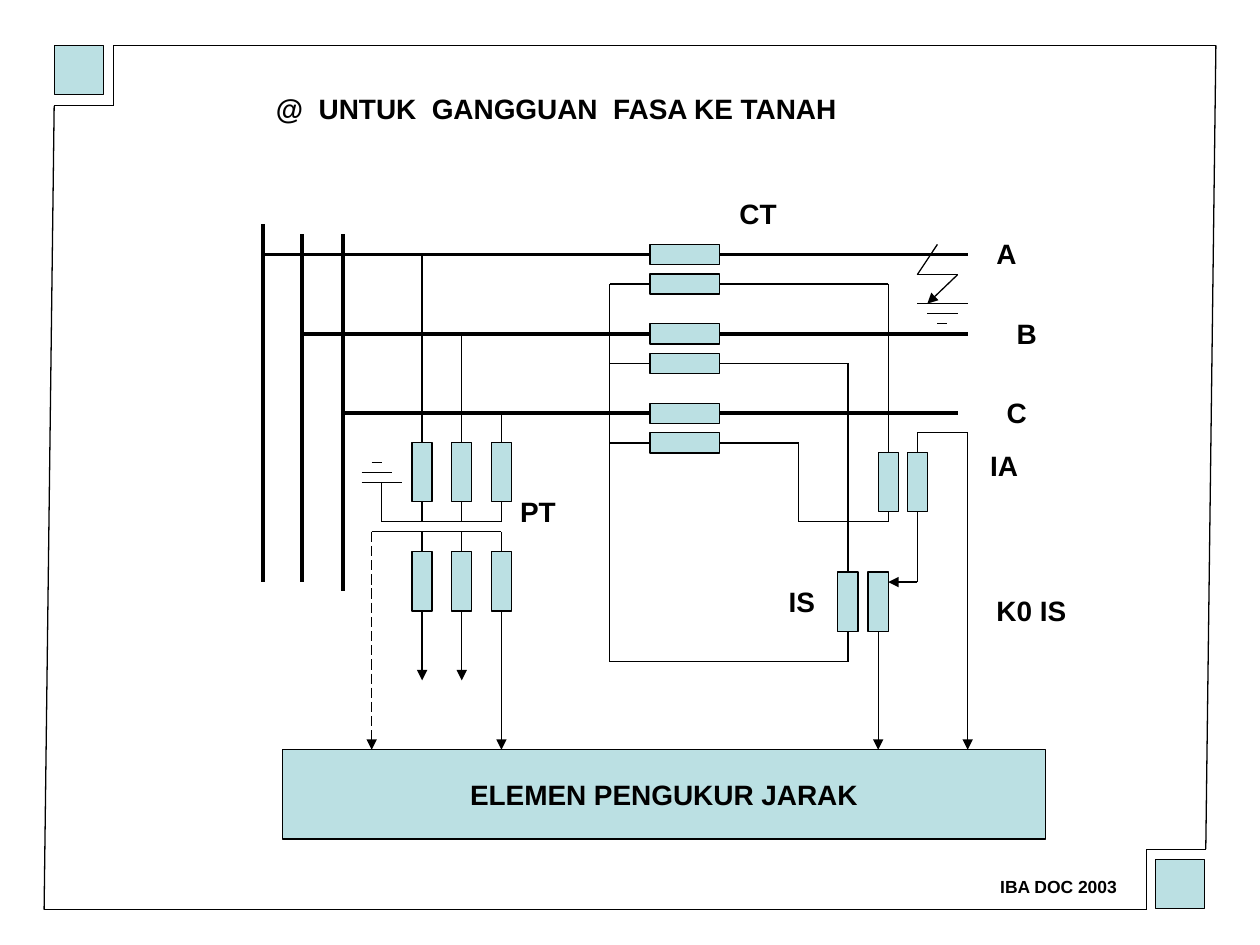
"""Build the phase-to-ground fault measuring diagram slide."""
from typing import NamedTuple, Union

from pptx import Presentation
from pptx.dml.color import RGBColor
from pptx.enum.dml import MSO_LINE
from pptx.enum.shapes import MSO_CONNECTOR, MSO_SHAPE
from pptx.enum.text import MSO_ANCHOR, MSO_AUTO_SIZE, PP_ALIGN
from pptx.oxml.ns import qn
from pptx.shapes.autoshape import Shape
from pptx.slide import Slide
from pptx.util import Inches, Pt
from lxml.etree import SubElement

COLORS = {"ink": "000000", "fill": "BBE0E3"}
FONT = "Arial"
TOP, LEFT, BOTTOM, RIGHT = range(4)


class Point(NamedTuple):
    x: float
    y: float


class Joint(NamedTuple):
    sp: Shape
    side: int


class Box(NamedTuple):
    x: float
    y: float
    w: float
    h: float


class Label(NamedTuple):
    text: str
    box: Box
    size: int = 16


End = Union[Point, Joint]

LABELS = [
    Label("IBA DOC 2003", Box(7.84, 6.9, 1.13, 0.27), 10),
    Label("PT", Box(4.03, 3.88, 0.48, 0.37)),
    Label("CT", Box(5.77, 1.51, 0.49, 0.37)),
    Label("IA", Box(7.76, 3.51, 0.47, 0.37)),
    Label("IS", Box(6.16, 4.59, 0.41, 0.37)),
    Label("K0 IS", Box(7.81, 4.66, 0.75, 0.37)),
    Label("A", Box(7.81, 1.83, 0.36, 0.37)),
    Label("B", Box(7.97, 2.46, 0.36, 0.37)),
    Label("C", Box(7.89, 3.09, 0.36, 0.37)),
]


def rgb(name: str) -> RGBColor:
    """Return a named colour."""
    return RGBColor.from_string(COLORS[name])


def set_text(sp: Shape, text: str, *, size: int = 16, align: PP_ALIGN = PP_ALIGN.LEFT,
             anchor: MSO_ANCHOR = MSO_ANCHOR.TOP) -> None:
    """Write one bold line of text into a shape."""
    tf = sp.text_frame
    tf.word_wrap = False
    tf.auto_size = MSO_AUTO_SIZE.NONE
    tf.vertical_anchor = anchor
    tf.margin_left = tf.margin_right = Inches(0.1)
    tf.margin_top = tf.margin_bottom = Inches(0.05)
    p = tf.paragraphs[0]
    p.alignment = align
    r = p.add_run()
    r.text = text
    r.font.name, r.font.size, r.font.bold = FONT, Pt(size), True
    r.font.color.rgb = rgb("ink")


def add_rect(s: Slide, box: Box) -> Shape:
    """Draw a filled, outlined rectangle."""
    sp = s.shapes.add_shape(MSO_SHAPE.RECTANGLE, *map(Inches, box))
    sp.shadow.inherit = False
    sp.fill.solid()
    sp.fill.fore_color.rgb = rgb("fill")
    sp.line.color.rgb = rgb("ink")
    sp.line.width = Pt(0.75)
    return sp


def add_wire(s: Slide, a: End, b: End, *, width: float = 0.75,
             dashed: bool = False, arrow: bool = False) -> None:
    """Draw a straight line between points or rectangle sides."""
    start = a if isinstance(a, Point) else b
    stop = b if isinstance(b, Point) else a
    c = s.shapes.add_connector(MSO_CONNECTOR.STRAIGHT, *map(Inches, (*start, *stop)))
    if isinstance(a, Joint):
        c.begin_connect(a.sp, a.side)
    if isinstance(b, Joint):
        c.end_connect(b.sp, b.side)
    c.line.color.rgb = rgb("ink")
    c.line.width = Pt(width)
    if dashed:
        c.line.dash_style = MSO_LINE.LONG_DASH
    if arrow:
        SubElement(c.line._get_or_add_ln(), qn("a:tailEnd"), type="triangle")
    SubElement(c._element.spPr, qn("a:effectLst"))


def add_route(s: Slide, *points: tuple) -> None:
    """Draw a chain of wires through the given points."""
    for a, b in zip(points, points[1:]):
        add_wire(s, Point(*a), Point(*b))


def add_frame(s: Slide) -> None:
    """Draw the slanted border with its two corner squares."""
    add_route(s, (9.1, 7.22), (0.35, 7.22), (0.43, 0.84), (0.9, 0.84), (0.9, 0.36),
              (9.65, 0.36), (9.57, 6.74), (9.1, 6.74), (9.1, 7.22))
    for x, y in ((0.43, 0.36), (9.17, 6.82)):
        add_rect(s, Box(x, y, 0.39, 0.39))


def add_earth(s: Slide, *bars: tuple) -> None:
    """Draw the bars of an earth symbol."""
    for x1, x2, y in bars:
        add_route(s, (x1, y), (x2, y))


def add_phases(s: Slide) -> None:
    """Draw the busbars, phase lines, current and voltage transformers."""
    buses = [(2.09, 1.78, 4.62, 7.68), (2.4, 1.86, 4.62, 7.68), (2.72, 1.86, 4.69, 7.6)]
    for i, (x, top, bottom, end) in enumerate(buses):
        y = 2.02 + 0.63 * i
        add_wire(s, Point(x, top), Point(x, bottom), width=2.25)
        add_wire(s, Point(x, y), Point(end, y), width=2.25)

    for i, ct_end in enumerate((7.05, 6.73, 6.34)):
        y = 2.02 + 0.63 * i
        add_rect(s, Box(5.16, y - 0.08, 0.55, 0.16))
        secondary = add_rect(s, Box(5.16, y + 0.155, 0.55, 0.16))
        add_wire(s, Point(4.84, y + 0.235), Joint(secondary, LEFT))
        add_wire(s, Joint(secondary, RIGHT), Point(ct_end, y + 0.235))

        x = 3.35 + 0.315 * i
        upper = add_rect(s, Box(x - 0.08, 3.51, 0.16, 0.47))
        lower = add_rect(s, Box(x - 0.08, 4.38, 0.16, 0.47))
        add_wire(s, Point(x, y), Joint(upper, TOP))
        add_wire(s, Joint(upper, BOTTOM), Point(x, 4.14))
        add_wire(s, Point(x, 4.22), Joint(lower, TOP))
        add_wire(s, Joint(lower, BOTTOM), Point(x, 5.95 if i == 2 else 5.4), arrow=True)

    add_route(s, (3.03, 3.83), (3.03, 4.14), (3.98, 4.14))
    add_route(s, (2.95, 4.22), (3.98, 4.22))
    add_wire(s, Point(2.95, 4.22), Point(2.95, 5.95), dashed=True, arrow=True)
    add_earth(s, (2.87, 3.19, 3.83), (2.87, 3.11, 3.75), (2.95, 3.03, 3.67))


def add_relay(s: Slide) -> None:
    """Draw the residual circuit, its coils and the measuring element."""
    add_route(s, (7.05, 2.25), (7.05, 4.14), (6.34, 4.14), (6.34, 3.51))
    add_rect(s, Box(6.97, 3.59, 0.16, 0.47))
    ia = add_rect(s, Box(7.2, 3.59, 0.16, 0.47))
    residual = add_rect(s, Box(6.65, 4.54, 0.16, 0.47))
    scaled = add_rect(s, Box(6.89, 4.54, 0.16, 0.47))
    add_wire(s, Point(6.73, 2.88), Joint(residual, TOP))
    add_wire(s, Joint(residual, BOTTOM), Point(6.73, 5.25))
    add_route(s, (6.73, 5.25), (4.84, 5.25), (4.84, 2.25))
    add_wire(s, Joint(scaled, BOTTOM), Point(6.97, 5.95), arrow=True)
    add_wire(s, Joint(ia, BOTTOM), Point(7.28, 4.62))
    add_wire(s, Point(7.28, 4.62), Point(7.05, 4.62), arrow=True)
    add_wire(s, Point(7.28, 3.43), Joint(ia, TOP))
    add_route(s, (7.28, 3.43), (7.68, 3.43))
    add_wire(s, Point(7.68, 3.43), Point(7.68, 5.95), arrow=True)
    element = add_rect(s, Box(2.24, 5.95, 6.06, 0.71))
    set_text(element, "ELEMEN PENGUKUR JARAK", align=PP_ALIGN.CENTER, anchor=MSO_ANCHOR.MIDDLE)


def add_fault(s: Slide) -> None:
    """Draw the fault arrow on phase A and its earth symbol."""
    add_route(s, (7.44, 1.94), (7.28, 2.18), (7.6, 2.18))
    add_wire(s, Point(7.6, 2.18), Point(7.36, 2.41), arrow=True)
    add_earth(s, (7.28, 7.68, 2.41), (7.36, 7.6, 2.49), (7.44, 7.52, 2.57))


def main() -> None:
    """Assemble and save the slide."""
    prs = Presentation()
    prs.slide_width, prs.slide_height = Inches(10), Inches(7.5)
    s = prs.slides.add_slide(prs.slide_layouts[5])
    title = s.shapes.title
    title.left, title.top, title.width, title.height = map(Inches, (2.09, 0.68, 4.69, 0.37))
    set_text(title, "@  UNTUK  GANGGUAN  FASA KE TANAH")
    add_frame(s)
    add_phases(s)
    add_relay(s)
    add_fault(s)
    for label in LABELS:
        set_text(s.shapes.add_textbox(*map(Inches, label.box)), label.text, size=label.size)
    prs.save("out.pptx")


if __name__ == "__main__":
    main()
